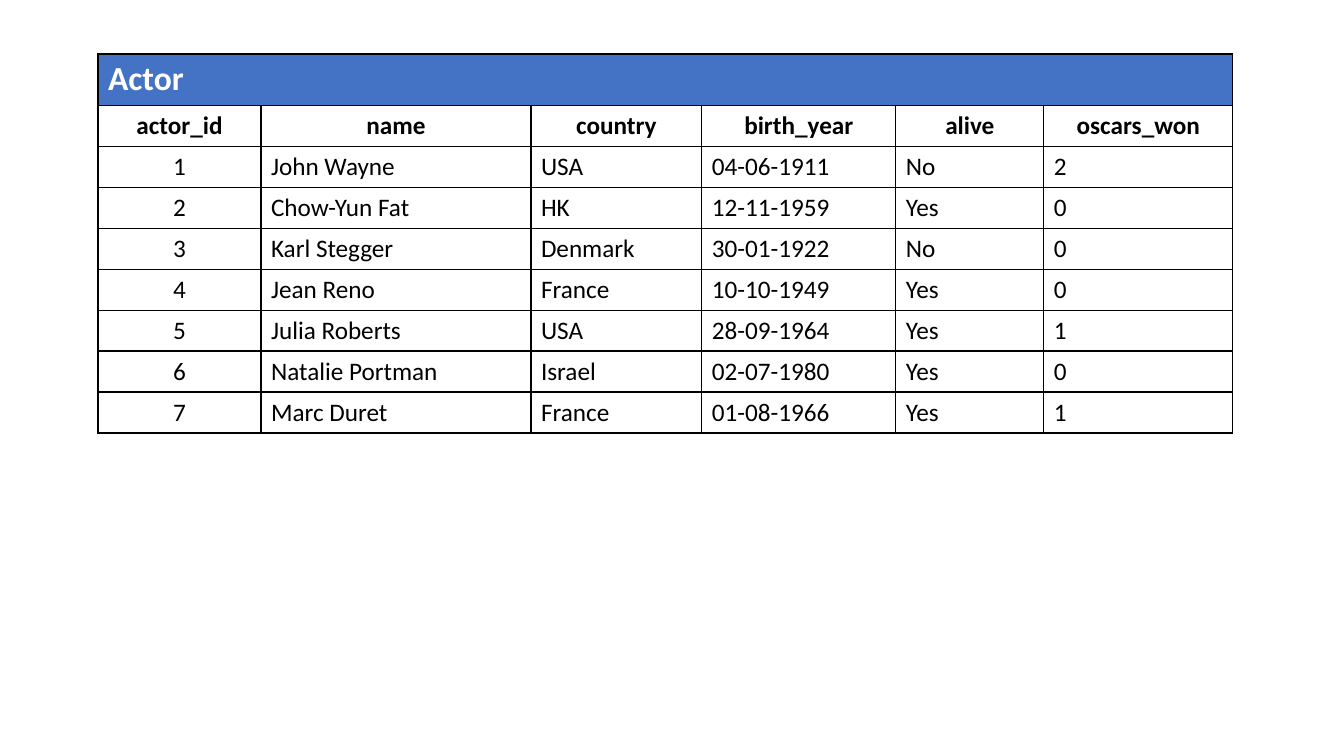
from lxml import etree
from pptx import Presentation
from pptx import util as u
from pptx.dml.color import RGBColor
from pptx.enum import text
from pptx.oxml import ns

PX = 914400 / 100.8  # EMU in one px
WHITE = RGBColor(0xFF, 0xFF, 0xFF)
BLACK = RGBColor(0, 0, 0)
BLUE = RGBColor(0x44, 0x72, 0xC4)
FONT = "Calibri"
LEFT, CENTER = text.PP_ALIGN.LEFT, text.PP_ALIGN.CENTER

COLUMNS = [("actor_id", 163), ("name", 270), ("country", 171),
           ("birth_year", 194), ("alive", 148), ("oscars_won", 189)]
ACTORS = [
    ("1", "John Wayne", "USA", "04-06-1911", "No", "2"),
    ("2", "Chow-Yun Fat", "HK", "12-11-1959", "Yes", "0"),
    ("3", "Karl Stegger", "Denmark", "30-01-1922", "No", "0"),
    ("4", "Jean Reno", "France", "10-10-1949", "Yes", "0"),
    ("5", "Julia Roberts", "USA", "28-09-1964", "Yes", "1"),
    ("6", "Natalie Portman", "Israel", "02-07-1980", "Yes", "0"),
    ("7", "Marc Duret", "France", "01-08-1966", "Yes", "1"),
]
TITLE_H, ROW_H = 51, 41


def px(n):
    return u.Emu(round(n * PX))


def style_cell(cell, fill):
    cell.fill.solid()
    cell.fill.fore_color.rgb = fill
    tc_pr = cell._tc.get_or_add_tcPr()
    # Borders must precede the fill
    for i, side in enumerate(("lnL", "lnR", "lnT", "lnB")):
        ln = etree.Element(ns.qn("a:" + side), w=str(u.Pt(1)))
        line_fill = etree.SubElement(ln, ns.qn("a:solidFill"))
        etree.SubElement(line_fill, ns.qn("a:srgbClr"), val=str(BLACK))
        tc_pr.insert(i, ln)


def write_cell(cell, words, size=18, bold=False, color=BLACK, align=LEFT):
    p = cell.text_frame.paragraphs[0]
    p.alignment = align
    r = p.add_run()
    r.text = words
    r.font.name = FONT
    r.font.size = u.Pt(size)
    r.font.bold = bold
    r.font.color.rgb = color


def add_actor_table(slide, x, y):
    w = sum(width for _, width in COLUMNS)
    n_rows = len(ACTORS) + 2
    h = TITLE_H + ROW_H * (n_rows - 1)
    table = slide.shapes.add_table(n_rows, len(COLUMNS), px(x), px(y), px(w), px(h)).table
    table.first_row = table.horz_banding = False

    # Grid
    for col, (_, width) in zip(table.columns, COLUMNS):
        col.width = px(width)
    for i, row in enumerate(table.rows):
        row.height = px(ROW_H if i else TITLE_H)
        for cell in row.cells:
            style_cell(cell, WHITE if i else BLUE)

    # Title across all columns
    title = table.cell(0, 0)
    title.merge(table.cell(0, len(COLUMNS) - 1))
    write_cell(title, "Actor", 24, True, WHITE)

    # Column names, then one row per actor
    for c, (name, _) in enumerate(COLUMNS):
        write_cell(table.cell(1, c), name, bold=True, align=CENTER)
    for i, actor in enumerate(ACTORS, 2):
        for c, value in enumerate(actor):
            write_cell(table.cell(i, c), value, align=LEFT if c else CENTER)


def main():
    prs = Presentation()
    prs.slide_width, prs.slide_height = px(1344), px(756)
    s = prs.slides.add_slide(prs.slide_layouts[6])
    add_actor_table(s, 98, 54)
    prs.save("out.pptx")


if __name__ == "__main__":
    main()
